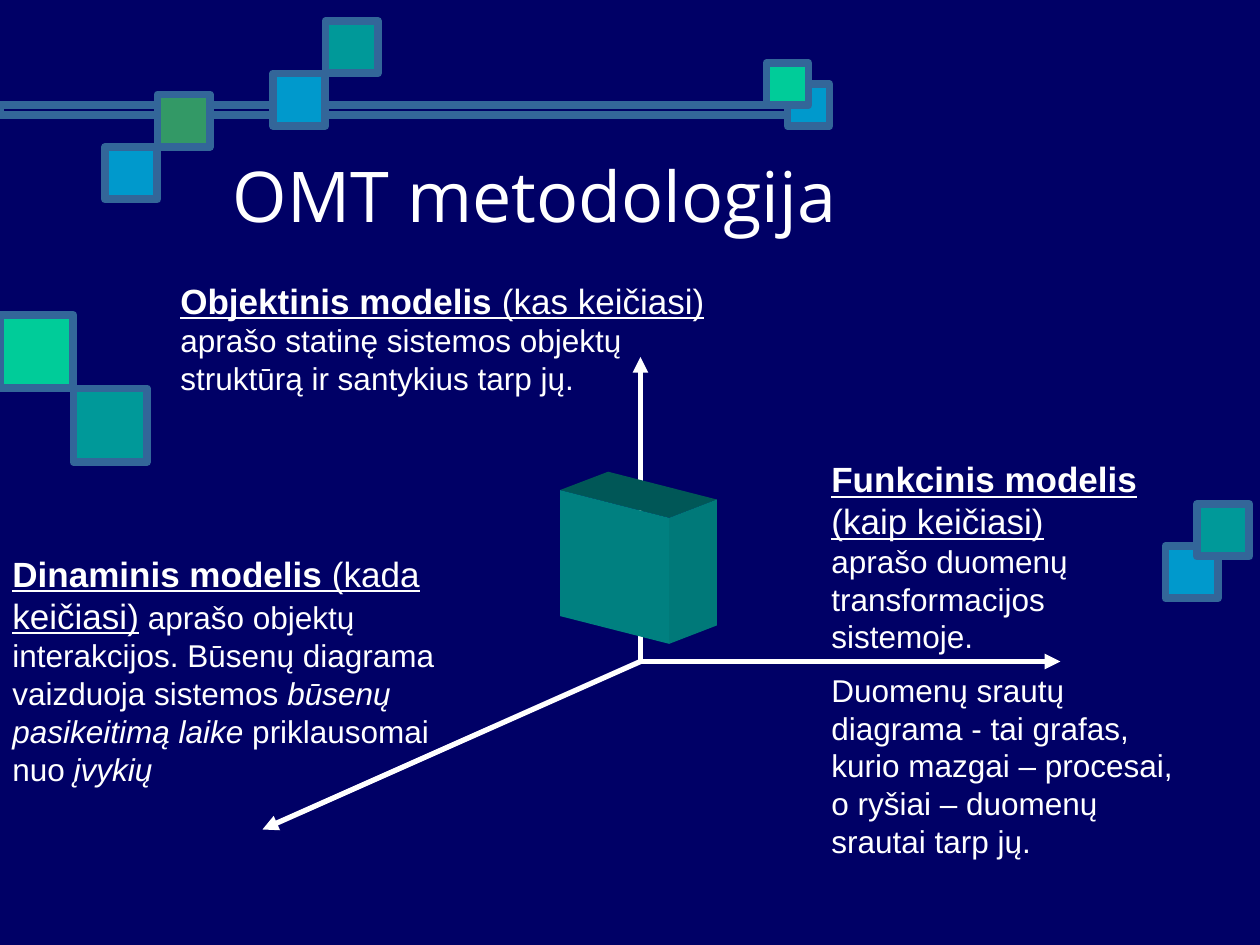
"""Build the OMT methodology slide with its three model axes."""
from dataclasses import dataclass

from lxml import etree
from pptx import Presentation
from pptx.dml.color import RGBColor
from pptx.enum.shapes import MSO_CONNECTOR, MSO_SHAPE
from pptx.enum.text import MSO_ANCHOR
from pptx.oxml.ns import qn
from pptx.util import Cm, Pt

RECT = MSO_SHAPE.RECTANGLE
STRAIGHT = MSO_CONNECTOR.STRAIGHT
TOP, MIDDLE = MSO_ANCHOR.TOP, MSO_ANCHOR.MIDDLE
GRID_CM = 2.54 / 12


@dataclass(frozen=True)
class Theme:
    bg: str = "000066"
    text: str = "FFFFFF"
    border: str = "336699"
    blue: str = "0099CC"
    mint: str = "00CC99"
    teal: str = "009999"
    green: str = "339966"
    cube_front: str = "008080"
    cube_side: str = "007979"
    cube_top: str = "005757"
    title_font: str = "Open Sans"
    body_font: str = "Arial"
    title_size: int = 40
    head_size: int = 20
    body_size: int = 18
    para_gap: int = 9
    border_width: float = 4.5
    axis_width: float = 3


T = Theme()


@dataclass(frozen=True)
class Box:
    x: float
    y: float
    w: float
    h: float
    color: str


@dataclass(frozen=True)
class Run:
    text: str
    size: int = T.body_size
    bold: bool = False
    italic: bool = False
    underline: bool = False


@dataclass(frozen=True)
class Note:
    x: float
    y: float
    w: float
    h: float
    paras: list[list[Run]]
    font: str = T.body_font
    anchor: MSO_ANCHOR = TOP


@dataclass(frozen=True)
class Face:
    points: list[tuple[float, float]]
    color: str


def grid(n: float) -> Cm:
    """Convert grid steps of a twelfth of an inch to a length."""
    return Cm(n * GRID_CM)


def rgb(color: str) -> RGBColor:
    """Return the colour for a hex string."""
    return RGBColor.from_string(color)


def heading(bold: str, plain: str) -> list[Run]:
    """Return the two underlined runs that open a note."""
    return [Run(bold, T.head_size, bold=True, underline=True),
            Run(plain, T.head_size, underline=True)]


def add_box(shapes, box: Box) -> None:
    """Draw a bordered rectangle."""
    s = shapes.add_shape(RECT, *map(grid, (box.x, box.y, box.w, box.h)))
    s.shadow.inherit = False
    s.fill.solid()
    s.fill.fore_color.rgb = rgb(box.color)
    s.line.color.rgb = rgb(T.border)
    s.line.width = Pt(T.border_width)


def add_axis(shapes, start: tuple[float, float], end: tuple[float, float]) -> None:
    """Draw an axis with an arrowhead at its end."""
    c = shapes.add_connector(STRAIGHT, *map(grid, (*start, *end)))
    c.line.color.rgb = rgb(T.text)
    c.line.width = Pt(T.axis_width)
    etree.SubElement(c.line._get_or_add_ln(), qn("a:tailEnd"), type="triangle")
    etree.SubElement(c._element.spPr, qn("a:effectLst"))


def add_face(shapes, face: Face) -> None:
    """Draw one face of the cube."""
    pts = [(Cm(x), Cm(y)) for x, y in face.points]
    fb = shapes.build_freeform(*pts[0])
    fb.add_line_segments(pts[1:], close=True)
    s = fb.convert_to_shape()
    s.shadow.inherit = False
    s.fill.solid()
    s.fill.fore_color.rgb = rgb(face.color)
    s.line.fill.background()


def add_note(shapes, note: Note) -> None:
    """Draw a wrapped text box with formatted runs."""
    s = shapes.add_textbox(*map(grid, (note.x, note.y, note.w, note.h)))
    tf = s.text_frame
    tf.word_wrap = True
    tf.vertical_anchor = note.anchor
    for i, runs in enumerate(note.paras):
        p = tf.add_paragraph() if i else tf.paragraphs[0]
        p.space_before = Pt(T.para_gap if i else 0)
        p.font.name = note.font
        p.font.color.rgb = rgb(T.text)
        for run in runs:
            if run.text == "\n":
                p.add_line_break()
                continue
            r = p.add_run()
            r.text = run.text
            r.font.size = Pt(run.size)
            r.font.bold = run.bold
            r.font.italic = run.italic
            r.font.underline = run.underline


BOXES = [
    Box(0, 10, 77, 1, T.bg),
    Box(75, 8, 4, 4, T.blue),
    Box(73, 6, 4, 4, T.mint),
    Box(111, 52, 5, 5, T.blue),
    Box(114, 48, 5, 5, T.teal),
    Box(0, 30, 7, 7, T.mint),
    Box(7, 37, 7, 7, T.teal),
    Box(26, 7, 5, 5, T.blue),
    Box(10, 14, 5, 5, T.blue),
    Box(15, 9, 5, 5, T.green),
    Box(31, 2, 5, 5, T.teal),
]
ORIGIN = (61, 63)
AXIS_ENDS = [(101, 63), (61, 34), (25, 79)]

LEFT_TOP, LEFT_LOW = (11.29, 9.88), (11.29, 12.42)
MID_TOP, MID_LOW = (13.49, 10.44), (13.49, 12.98)
RIGHT_TOP, RIGHT_LOW = (14.45, 10.07), (14.45, 12.61)
BACK_TOP = (12.26, 9.51)
FACES = [
    Face([LEFT_TOP, BACK_TOP, RIGHT_TOP, MID_TOP], T.cube_top),
    Face([MID_TOP, RIGHT_TOP, RIGHT_LOW, MID_LOW], T.cube_side),
    Face([LEFT_TOP, MID_TOP, MID_LOW, LEFT_LOW], T.cube_front),
]
NOTES = [
    Note(21, 13, 93, 11, [[Run("OMT metodologija", T.title_size)]], T.title_font, MIDDLE),
    Note(0, 52, 44, 23.6, [[
        *heading("Dinaminis modelis", " (kada keičiasi)"),
        Run(" aprašo objektų interakcijos. Būsenų diagrama vaizduoja sistemos "),
        Run("būsenų pasikeitimą laike", italic=True),
        Run(" priklausomai nuo "),
        Run("įvykių", italic=True)]]),
    Note(78, 43, 35, 39.8, [
        [*heading("Funkcinis modelis", " (kaip keičiasi)"), Run("\n"),
         Run("aprašo duomenų transformacijos sistemoje.")],
        [Run("Duomenų srautų diagrama - tai grafas, kurio mazgai – procesai, "
             "o ryšiai – duomenų srautai tarp jų.")]]),
    Note(16, 26, 55, 12.4, [[
        *heading("Objektinis modelis", " (kas keičiasi)"),
        Run(" aprašo statinę sistemos objektų struktūrą ir santykius tarp jų.")]]),
]

prs = Presentation()
prs.slide_width, prs.slide_height = Cm(25.4), Cm(19.05)
slide = prs.slides.add_slide(prs.slide_layouts[6])
slide.background.fill.solid()
slide.background.fill.fore_color.rgb = rgb(T.bg)
for box in BOXES:
    add_box(slide.shapes, box)
for end in AXIS_ENDS:
    add_axis(slide.shapes, ORIGIN, end)
for face in FACES:
    add_face(slide.shapes, face)
for note in NOTES:
    add_note(slide.shapes, note)
prs.save("out.pptx")
